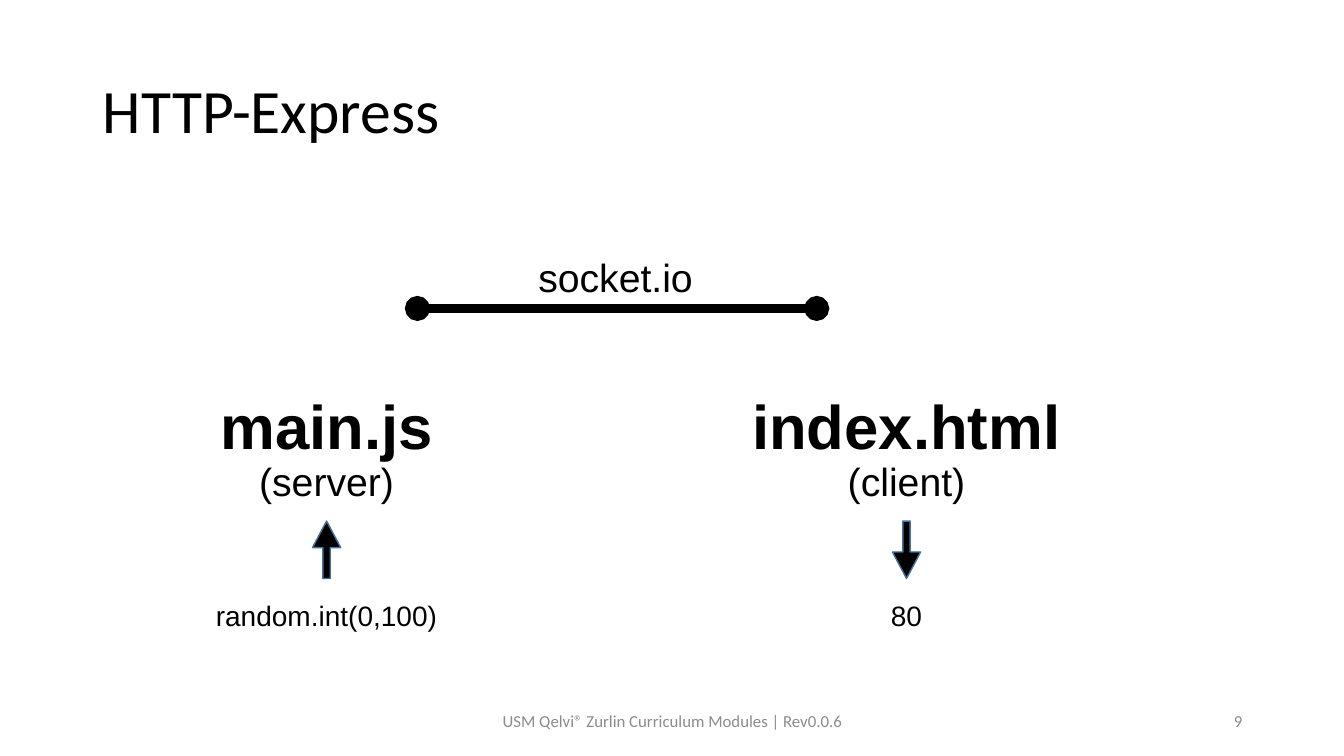
import pptx
import pptx.dml.color
import pptx.enum.shapes
import pptx.enum.text
import pptx.oxml
import pptx.oxml.ns
import pptx.util

BLACK = pptx.dml.color.RGBColor(0x00, 0x00, 0x00)
GREY = pptx.dml.color.RGBColor(0x8C, 0x8C, 0x8C)
BLUE = pptx.dml.color.RGBColor(0x43, 0x73, 0x9E)
ALIGN = pptx.enum.text.PP_ALIGN
ANCHOR = pptx.enum.text.MSO_ANCHOR
SHAPE = pptx.enum.shapes.MSO_SHAPE


class Board:
    heading_font = "Calibri"
    body_font = "Arial"

    def __init__(self, deck):
        self.width, self.height = deck.slide_width, deck.slide_height
        self.slide = deck.slides.add_slide(deck.slide_layouts[5])

    def across(self, percent):
        return round(self.width * percent / 100)

    def down(self, percent):
        return round(self.height * percent / 100)

    def area(self, left, top, width, height):
        return self.across(left), self.down(top), self.across(width), self.down(height)

    def style(self, paragraph, size, font, color=BLACK, bold=False, align=ALIGN.CENTER):
        paragraph.alignment = align
        for run in paragraph.runs:
            run.font.size = pptx.util.Pt(size)
            run.font.name = font
            run.font.bold = bold
            run.font.color.rgb = color

    def title(self, wording, area):
        heading = self.slide.shapes.title
        heading.left, heading.top, heading.width, heading.height = self.area(*area)
        frame = heading.text_frame
        frame.text = wording
        frame.vertical_anchor = ANCHOR.MIDDLE
        frame.paragraphs[0].line_spacing = 0.9
        self.style(frame.paragraphs[0], 44, self.heading_font, align=ALIGN.LEFT)

    def footer(self, wording, area, align):
        frame = self.slide.shapes.add_textbox(*self.area(*area)).text_frame
        frame.word_wrap = True
        frame.vertical_anchor = ANCHOR.MIDDLE
        frame.text = wording
        self.style(frame.paragraphs[0], 12, self.heading_font, GREY, align=align)

    def label(self, lines, center, top, width, height, bold=False, gap=0):
        area = self.area(center - width / 2, top, width, height)
        frame = self.slide.shapes.add_textbox(*area).text_frame
        frame.word_wrap = False
        frame.text = "\n".join(wording for wording, size in lines)
        for paragraph, (wording, size) in zip(frame.paragraphs, lines):
            self.style(paragraph, size, self.body_font, bold=bold)
        for paragraph in frame.paragraphs[1:]:
            paragraph.space_before = pptx.util.Pt(gap)

    def link(self, start, end, level):
        connector = self.slide.shapes.add_connector(
            pptx.enum.shapes.MSO_CONNECTOR.STRAIGHT,
            self.across(start), self.down(level), self.across(end), self.down(level))
        connector.line.color.rgb = BLACK
        connector.line.width = pptx.util.Pt(6)
        namespace = pptx.oxml.ns.nsdecls("a")
        outline = connector.line._get_or_add_ln()
        for tag in ("a:headEnd", "a:tailEnd"):
            outline.append(pptx.oxml.parse_xml(f'<{tag} {namespace} type="oval"/>'))
        connector._element.spPr.append(
            pptx.oxml.parse_xml(f"<a:effectLst {namespace}/>"))

    def arrow(self, direction, center, top, width, height):
        arrow = self.slide.shapes.add_shape(
            direction, *self.area(center - width / 2, top, width, height))
        arrow.adjustments[0] = 0.26
        arrow.adjustments[1] = 0.94
        arrow.shadow.inherit = False
        arrow.fill.solid()
        arrow.fill.fore_color.rgb = BLACK
        arrow.line.color.rgb = BLUE
        arrow.line.width = pptx.util.Pt(1)


def main():
    deck = pptx.Presentation()
    deck.slide_width = pptx.util.Inches(13.33)
    deck.slide_height = pptx.util.Inches(7.5)
    board = Board(deck)

    board.title("HTTP-Express", (6.9, 5.33, 86.27, 19.33))
    board.footer("USM Qelvi® Zurlin Curriculum Modules | Rev0.0.6",
                 (33.16, 92.67, 33.76, 5.33), ALIGN.CENTER)
    board.footer("9", (70.67, 92.67, 22.5, 5.33), ALIGN.RIGHT)

    board.link(31.06, 60.77, 40.8)
    board.label([("socket.io", 28)], 45.8, 32.8, 13.13, 7.6)

    endpoints = [
        ("main.js", "(server)", "random.int(0,100)", 24.3, SHAPE.UP_ARROW),
        ("index.html", "(client)", "80", 67.45, SHAPE.DOWN_ARROW),
    ]
    for file_name, role, value, center, direction in endpoints:
        board.label([(file_name, 44)], center, 50.6, 24.7, 11.2, bold=True)
        board.label([(role, 28), (value, 20)], center, 59.87, 18.1, 24.67, gap=67)
        board.arrow(direction, center, 68.93, 2.1, 7.6)

    deck.save("out.pptx")


if __name__ == "__main__":
    main()
